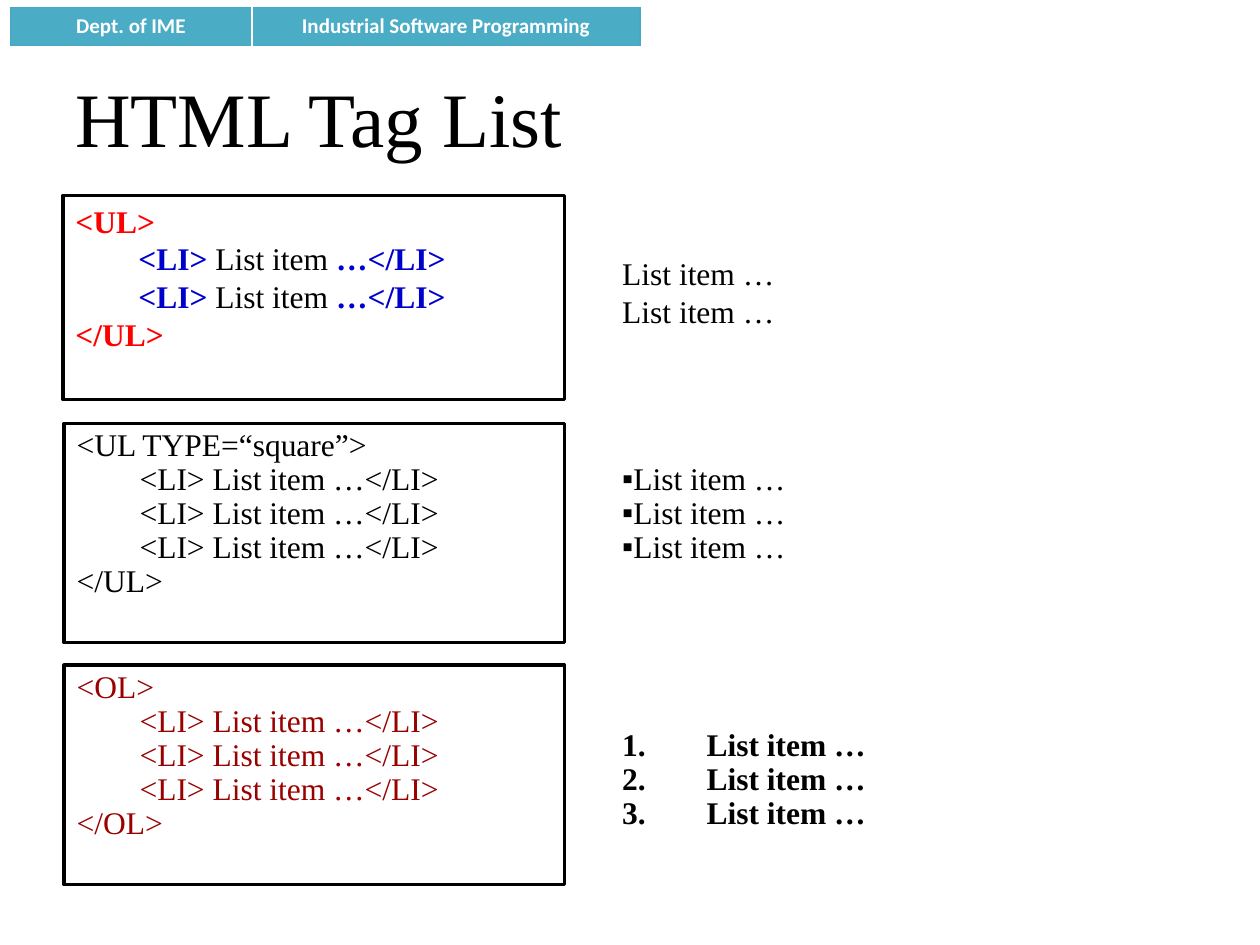
from lxml import etree
from pptx import Presentation
from pptx.dml.color import RGBColor
from pptx.enum.shapes import MSO_SHAPE
from pptx.enum.text import MSO_ANCHOR, PP_ALIGN
from pptx.oxml.ns import qn
from pptx.util import Inches, Pt

RECT = MSO_SHAPE.RECTANGLE
TOP, MIDDLE = MSO_ANCHOR.TOP, MSO_ANCHOR.MIDDLE
LEFT, CENTER = PP_ALIGN.LEFT, PP_ALIGN.CENTER
SERIF = "Times New Roman"
BLACK, WHITE, RED, BLUE, MAROON = "000000", "FFFFFF", "FF0000", "0000CC", "990000"
ITEM = "List item …"


def rgb(value):
    """Turn a hex string into a colour."""
    return RGBColor.from_string(value)


def add_run(p, text, size=18, color=BLACK, bold=False, font=SERIF):
    """Append a formatted run to a paragraph."""
    r = p.add_run()
    r.text = text
    r.font.size, r.font.name, r.font.bold = Pt(size), font, bold
    r.font.color.rgb = rgb(color)


def set_indent(p, margin, hanging=0, bullet=None):
    """Set the left margin, hanging indent and bullet of a paragraph."""
    pPr = p._p.get_or_add_pPr()
    pPr.set("marL", str(Inches(margin)))
    pPr.set("indent", str(-Inches(hanging)))
    if bullet == "1.":
        etree.SubElement(pPr, qn("a:buFont"), typeface="+mj-lt")
        etree.SubElement(pPr, qn("a:buAutoNum"), type="arabicPeriod")
    elif bullet:
        etree.SubElement(pPr, qn("a:buFont"), typeface=SERIF)
        etree.SubElement(pPr, qn("a:buChar"), char=bullet)


def fill_text(tf, lines, spacing=None, hanging=0, bullet=None):
    """Write lines, each a level and its runs of text, colour and weight."""
    tf.word_wrap = True
    tf.vertical_anchor = TOP
    for i, (level, runs) in enumerate(lines):
        p = tf.paragraphs[0] if i == 0 else tf.add_paragraph()
        p.alignment, p.level = LEFT, level
        if spacing:
            p.line_spacing = spacing
        set_indent(p, level * 0.5 + hanging, hanging, bullet)
        for text, color, bold in runs:
            add_run(p, text, color=color, bold=bold)


def add_header(s, x, y, w, h):
    """Add the course banner as a one-row table."""
    table = s.shapes.add_table(1, 2, Inches(x), Inches(y), Inches(w), Inches(h)).table
    columns = [("Dept. of IME", 1.92, "LTB"), ("Industrial Software Programming", w - 1.92, "RTB")]
    for i, (text, width, sides) in enumerate(columns):
        table.columns[i].width = Inches(width)
        cell = table.cell(0, i)
        tcPr = cell._tc.get_or_add_tcPr()
        for side in sides:
            ln = etree.SubElement(tcPr, qn("a:ln" + side), w=str(Pt(0.75)))
            solid = etree.SubElement(ln, qn("a:solidFill"))
            etree.SubElement(solid, qn("a:srgbClr"), val="46AAC5")
        cell.fill.solid()
        cell.fill.fore_color.rgb = rgb("4BACC6")
        cell.vertical_anchor = MIDDLE
        p = cell.text_frame.paragraphs[0]
        p.alignment = CENTER
        add_run(p, text, 12, WHITE, True, "Calibri")


def add_title(s, text, x, y, w, h):
    """Add the slide title."""
    tf = s.shapes.add_textbox(Inches(x), Inches(y), Inches(w), Inches(h)).text_frame
    tf.word_wrap = True
    tf.vertical_anchor = MIDDLE
    add_run(tf.paragraphs[0], text, 44)


def add_code(s, x, y, w, h, lines, **style):
    """Add an outlined box of markup."""
    sp = s.shapes.add_shape(RECT, Inches(x), Inches(y), Inches(w), Inches(h))
    sp.shadow.inherit = False
    sp.fill.solid()
    sp.fill.fore_color.rgb = rgb(WHITE)
    sp.line.color.rgb = rgb(BLACK)
    sp.line.width = Pt(2)
    fill_text(sp.text_frame, lines, **style)


def add_result(s, y, h, count, bold=False, **style):
    """Add the list that the markup produces."""
    sp = s.shapes.add_textbox(Inches(4.84), Inches(y), Inches(5), Inches(h))
    fill_text(sp.text_frame, [(0, [(ITEM, BLACK, bold)])] * count, **style)


def plain_list(start, end, color):
    """Return the lines of a three-item list in one colour."""
    item = (1, [(f"<LI> {ITEM}</LI>", color, False)])
    return [(0, [(start, color, False)])] + [item] * 3 + [(0, [(end, color, False)])]


def build():
    """Build and save the slide."""
    prs = Presentation()
    prs.slide_width, prs.slide_height = Inches(10), Inches(7.5)
    s = prs.slides.add_slide(prs.slide_layouts[6])
    add_header(s, 0.08, 0.06, 5, 0.3)
    add_title(s, "HTML Tag List", 0.5, 0.3, 9, 1.25)

    item = (1, [("<LI>", BLUE, True), (" List item ", BLACK, False), ("…</LI>", BLUE, True)])
    lines = [(0, [("<UL>", RED, True)]), item, item, (0, [("</UL>", RED, True)])]
    add_code(s, 0.5, 1.55, 3.98, 1.62, lines)
    add_result(s, 1.97, 0.71, 2)

    add_code(s, 0.51, 3.36, 3.97, 1.74,
             plain_list("<UL TYPE=“square”>", "</UL>", BLACK), spacing=0.9)
    add_result(s, 3.63, 0.92, 3, spacing=0.9, bullet="▪")

    add_code(s, 0.51, 5.28, 3.97, 1.74,
             plain_list("<OL>", "</OL>", MAROON), spacing=0.9, hanging=0.67)
    add_result(s, 5.74, 0.92, 3, bold=True, spacing=0.9, hanging=0.67, bullet="1.")
    prs.save("out.pptx")


build()
